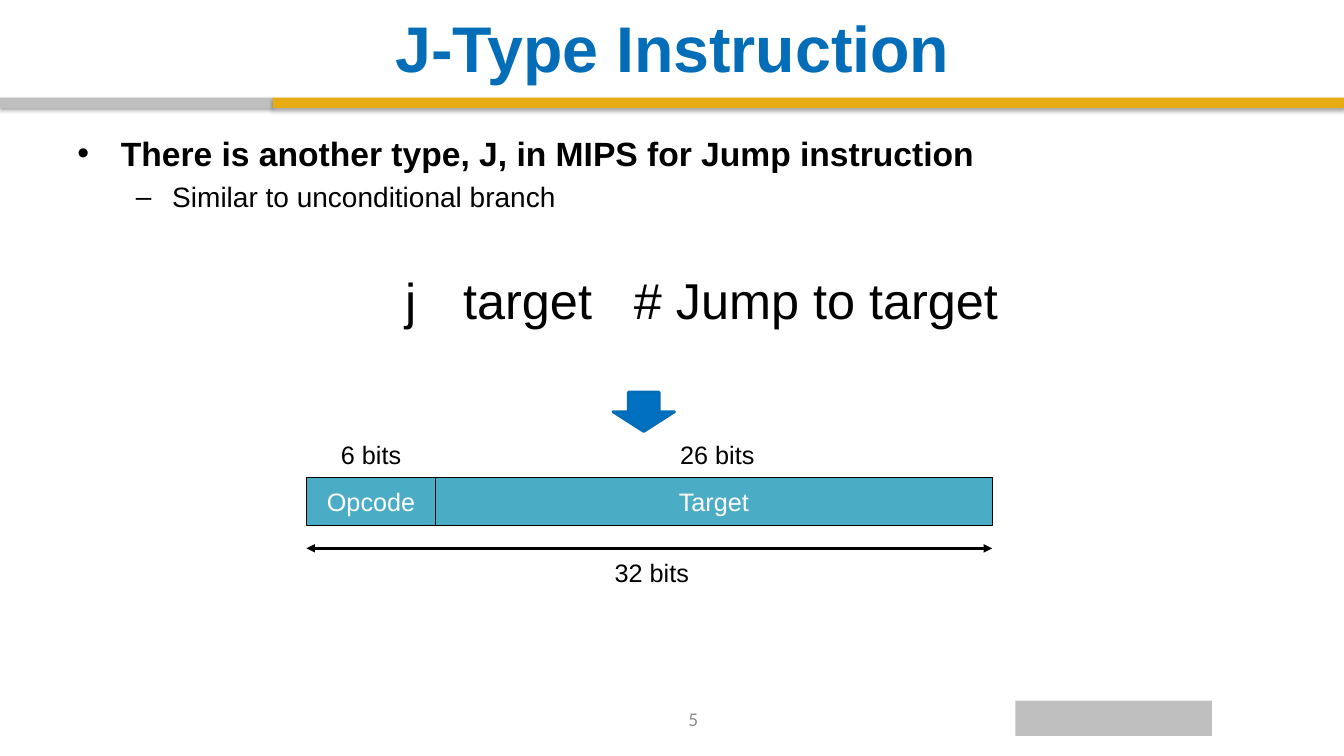
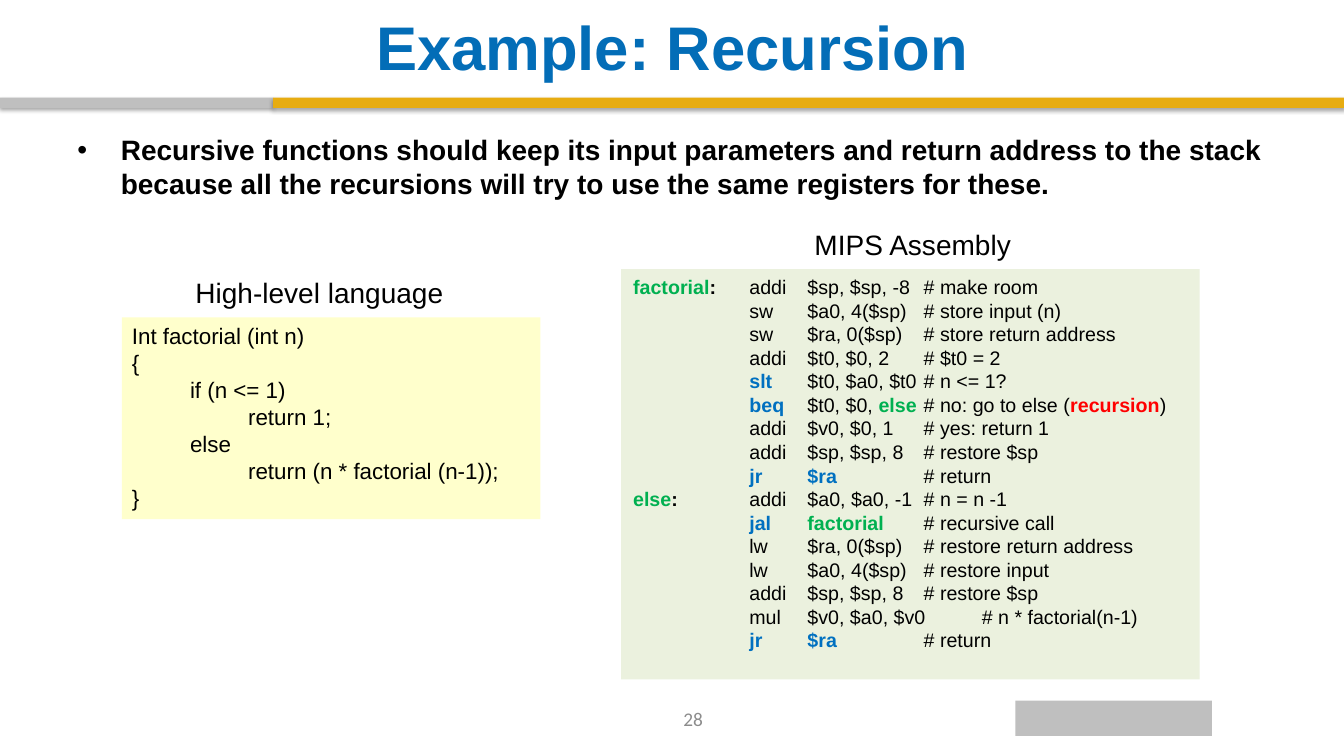
from dataclasses import dataclass, replace

from lxml.etree import SubElement
from pptx import Presentation
from pptx.dml.color import RGBColor
from pptx.enum.shapes import MSO_CONNECTOR as Connector, MSO_SHAPE as Preset
from pptx.enum.text import MSO_ANCHOR as Anchor, PP_ALIGN as Align
from pptx.oxml.ns import qn
from pptx.shapes.autoshape import Shape
from pptx.slide import Slide
from pptx.text.text import TextFrame
from pptx.util import Inches, Pt

BLACK, WHITE, SILVER, SLATE = "000000", "FFFFFF", "BFBFBF", "8C8C8C"
BLUE, GOLD, TEAL = "036DB7", "E7AC11", "4BACC6"
KEYWORD_BLUE, LABEL_GREEN, ALERT_RED = "0070C0", "00B050", "FF0000"
CREAM, SAGE = "FFFFCC", "EBF1DE"
TAB_WIDTH = Pt(41.5)


@dataclass(frozen=True)
class Style:
    size: float
    color: str = BLACK
    bold: bool = False
    font: str = "Arial"
    align: Align = Align.LEFT


@dataclass(frozen=True)
class Part:
    text: str
    color: str = BLACK
    bold: bool = True


@dataclass(frozen=True)
class Point:
    text: str
    style: Style
    level: int = 0
    left: float = 0
    hang: float = 0
    bullet: str = ""
    before: float = 0


@dataclass(frozen=True)
class Box:
    left: float
    top: float
    width: float
    height: float

    def lengths(self) -> tuple[Inches, ...]:
        return tuple(map(Inches, (self.left, self.top, self.width, self.height)))


Line = str | tuple[str | Part, ...]

TITLE = Style(44, BLUE, True, align=Align.CENTER)
FIELD = Style(18, WHITE, align=Align.CENTER)
BITS = replace(FIELD, color=BLACK)
CAPTION = Style(20)
BODY_BOX = Box(0.67, 1.27, 12, 5.43)


def rgb(color: str) -> RGBColor:
    return RGBColor.from_string(color)


def apply_style(run, style: Style) -> None:
    run.font.name = style.font
    run.font.size = Pt(style.size)
    run.font.bold = style.bold
    run.font.color.rgb = rgb(style.color)


def write(frame: TextFrame, lines: list[Line], style: Style) -> None:
    for index, line in enumerate(lines):
        paragraph = frame.add_paragraph() if index else frame.paragraphs[0]
        paragraph.alignment = style.align
        paragraph._p.get_or_add_pPr().set("defTabSz", str(TAB_WIDTH))
        for part in (line,) if isinstance(line, str) else line:
            run = paragraph.add_run()
            if isinstance(part, Part):
                run.text = part.text
                apply_style(run, replace(style, color=part.color, bold=part.bold))
            else:
                run.text = part
                apply_style(run, style)


def add_text(slide: Slide, box: Box, lines: list[Line], style: Style,
             anchor: Anchor = Anchor.TOP, wrap: bool = False) -> None:
    frame = slide.shapes.add_textbox(*box.lengths()).text_frame
    frame.word_wrap = wrap
    frame.vertical_anchor = anchor
    write(frame, lines, style)


def add_block(slide: Slide, box: Box, fill: str, preset: Preset = Preset.RECTANGLE,
              outline: str = "", weight: float = 0.75) -> Shape:
    block = slide.shapes.add_shape(preset, *box.lengths())
    block.shadow.inherit = False
    block.fill.solid()
    block.fill.fore_color.rgb = rgb(fill)
    if outline:
        block.line.color.rgb = rgb(outline)
        block.line.width = Pt(weight)
    else:
        block.line.fill.background()
    return block


def add_band(slide: Slide, left: float, width: float, fill: str) -> None:
    band = add_block(slide, Box(left, 0.97, width, 0.1), fill)
    effects = band._element.spPr.find(qn("a:effectLst"))
    shadow = SubElement(effects, qn("a:outerShdw"), blurRad=str(Pt(3.1)),
                        dist=str(Pt(1.8)), dir="5400000", rotWithShape="0")
    shade = SubElement(shadow, qn("a:srgbClr"), val=BLACK)
    SubElement(shade, qn("a:alpha"), val="35000")


def add_code(slide: Slide, box: Box, fill: str, lines: list[Line], size: float,
             side: float = 0.1, edge: float = 0.05) -> None:
    frame = add_block(slide, box, fill).text_frame
    frame.word_wrap = True
    frame.vertical_anchor = Anchor.TOP
    frame.margin_left = frame.margin_right = Inches(side)
    frame.margin_top = frame.margin_bottom = Inches(edge)
    write(frame, lines, Style(size))


def add_field(slide: Slide, box: Box, name: str) -> None:
    frame = add_block(slide, box, TEAL, outline=BLACK).text_frame
    frame.word_wrap = False
    frame.vertical_anchor = Anchor.MIDDLE
    write(frame, [name], FIELD)


def add_points(slide: Slide, points: list[Point]) -> None:
    frame = slide.shapes.add_textbox(*BODY_BOX.lengths()).text_frame
    frame.word_wrap = True
    for index, point in enumerate(points):
        paragraph = frame.add_paragraph() if index else frame.paragraphs[0]
        paragraph.text = point.text
        paragraph.level = point.level
        paragraph.alignment = point.style.align
        if point.before:
            paragraph.space_before = Pt(point.before)
        properties = paragraph._p.get_or_add_pPr()
        properties.set("marL", str(Inches(point.left)))
        properties.set("indent", str(Inches(-point.hang)))
        properties.set("defTabSz", str(TAB_WIDTH))
        if point.bullet:
            SubElement(properties, qn("a:buFont"), typeface="Arial")
            SubElement(properties, qn("a:buChar"), char=point.bullet)
        for run in paragraph.runs:
            apply_style(run, point.style)


def add_span_arrow(slide: Slide, start: float, end: float, height: float) -> None:
    span = slide.shapes.add_connector(Connector.STRAIGHT, Inches(start), Inches(height),
                                      Inches(end), Inches(height))
    span.line.color.rgb = rgb(BLACK)
    span.line.width = Pt(2)
    outline = span.line._get_or_add_ln()
    for tip in ("a:headEnd", "a:tailEnd"):
        SubElement(outline, qn(tip), type="triangle")
    SubElement(span._element.spPr, qn("a:effectLst"))


def start_slide(deck, title: str, number: int, title_size: float = 44) -> Slide:
    slide = deck.slides.add_slide(deck.slide_layouts[6])
    add_block(slide, Box(10.07, 6.95, 1.95, 0.35), SILVER)
    add_band(slide, 0, 2.71, SILVER)
    add_band(slide, 2.71, 10.62, GOLD)
    add_text(slide, Box(0.67, 0.08, 12, 0.76), [title], replace(TITLE, size=title_size),
             Anchor.MIDDLE, True)
    add_text(slide, Box(5.32, 6.93, 3.11, 0.4), [str(number)],
             Style(13.8, SLATE, font="Calibri", align=Align.CENTER), Anchor.MIDDLE, True)
    return slide


def main_point(text: str, size: float) -> Point:
    return Point(text, Style(size, bold=True), left=0.43, hang=0.43, bullet="•")


def keyword(text: str) -> Part:
    return Part(text, KEYWORD_BLUE)


def label(text: str) -> Part:
    return Part(text, LABEL_GREEN)


def build_jump(deck) -> None:
    slide = start_slide(deck, "J-Type Instruction", 5, 46.1)
    add_points(slide, [
        main_point("There is another type, J, in MIPS for Jump instruction", 24),
        Point("Similar to unconditional branch", Style(20), 1, 0.94, 0.36, "–", 4.8),
        Point("j \ttarget   # Jump to target", Style(36, align=Align.CENTER), 1, 0.58, before=40),
    ])
    word_left, word_top, opcode_width, target_width, row = 3.04, 4.74, 1.28, 5.52, 0.47
    word_right = word_left + opcode_width + target_width
    add_field(slide, Box(word_left, word_top, opcode_width, row), "Opcode")
    add_field(slide, Box(word_left + opcode_width, word_top, target_width, row), "Target")
    for text, box in (
        ("6 bits", Box(word_left, word_top - row, opcode_width, row)),
        ("26 bits", Box(6.58, word_top - row, 1.07, row)),
        ("32 bits", Box(5.82, 5.44, 1.29, row)),
    ):
        add_text(slide, box, [text], BITS, Anchor.MIDDLE)
    add_span_arrow(slide, word_left, word_right, 5.44)
    add_block(slide, Box(6.08, 3.89, 0.61, 0.39), KEYWORD_BLUE, Preset.DOWN_ARROW, BLUE, 2)


def build_recursion(deck) -> None:
    slide = start_slide(deck, "Example: Recursion", 28)
    add_points(slide, [main_point(
        "Recursive functions should keep its input parameters and return address to the stack "
        "because all the recursions will try to use the same registers for these.", 20)])
    add_code(slide, Box(1.21, 3.15, 4.15, 2), CREAM, [
        "Int factorial (int n)",
        "{",
        "\tif (n <= 1)",
        "\t\treturn 1;",
        "\telse",
        "\t\treturn (n * factorial (n-1));",
        "}",
    ], 16)
    add_text(slide, Box(1.84, 2.68, 2.77, 0.45), ["High-level language"], CAPTION)
    add_text(slide, Box(7.98, 2.21, 2.24, 0.45), ["MIPS Assembly"], CAPTION)
    add_code(slide, Box(6.16, 2.67, 5.74, 4.07), SAGE, [
        (label("factorial"), Part(": \t"), "addi\t$sp, $sp, -8\t# make room"),
        "\t\tsw\t$a0, 4($sp)\t# store input (n)",
        "\t\tsw \t$ra, 0($sp)\t# store return address",
        "\t\taddi\t$t0, $0, 2\t# $t0 = 2",
        ("\t\t", keyword("slt"), "\t$t0, $a0, $t0\t# n <= 1?"),
        ("\t\t", keyword("beq"), "\t$t0, $0, ", label("else"), "\t# no: go to else (",
         Part("recursion", ALERT_RED), ")"),
        "\t\taddi\t$v0, $0, 1\t# yes: return 1",
        "\t\taddi\t$sp, $sp, 8\t# restore $sp",
        ("\t\t", keyword("jr\t$ra"), "\t\t# return"),
        (label("else"), Part(":\t\t"), "addi\t$a0, $a0, -1\t# n = n -1"),
        ("\t\t", keyword("jal\t"), label("factorial"), "\t# recursive call"),
        "\t\tlw\t$ra, 0($sp)\t# restore return address",
        "\t\tlw\t$a0, 4($sp)\t# restore input",
        "\t\taddi\t$sp, $sp, 8\t# restore $sp",
        "\t\tmul\t$v0, $a0, $v0\t# n * factorial(n-1)",
        ("\t\t", keyword("jr\t$ra\t"), "\t# return"),
    ], 14, 0.12, 0.06)


def main() -> None:
    deck = Presentation()
    deck.slide_width, deck.slide_height = Inches(13.33), Inches(7.5)
    build_jump(deck)
    build_recursion(deck)
    deck.save("out.pptx")


if __name__ == "__main__":
    main()
